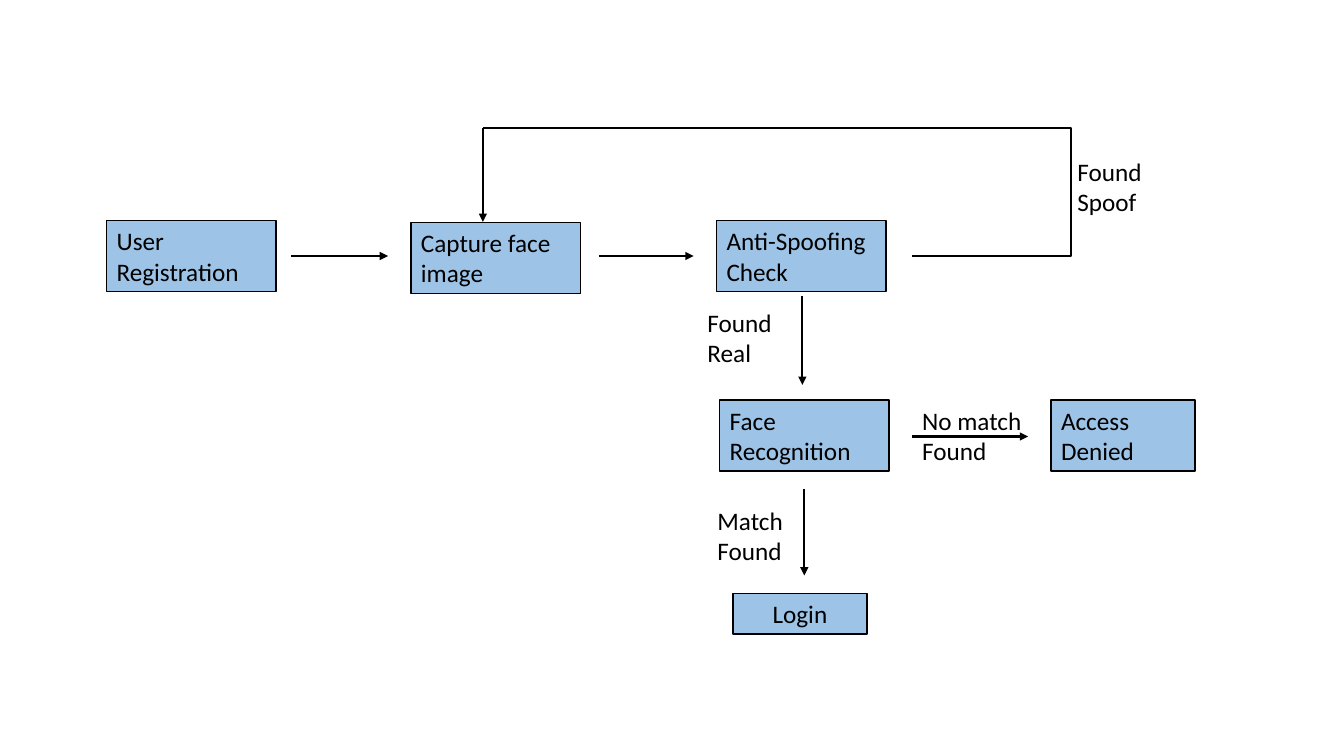
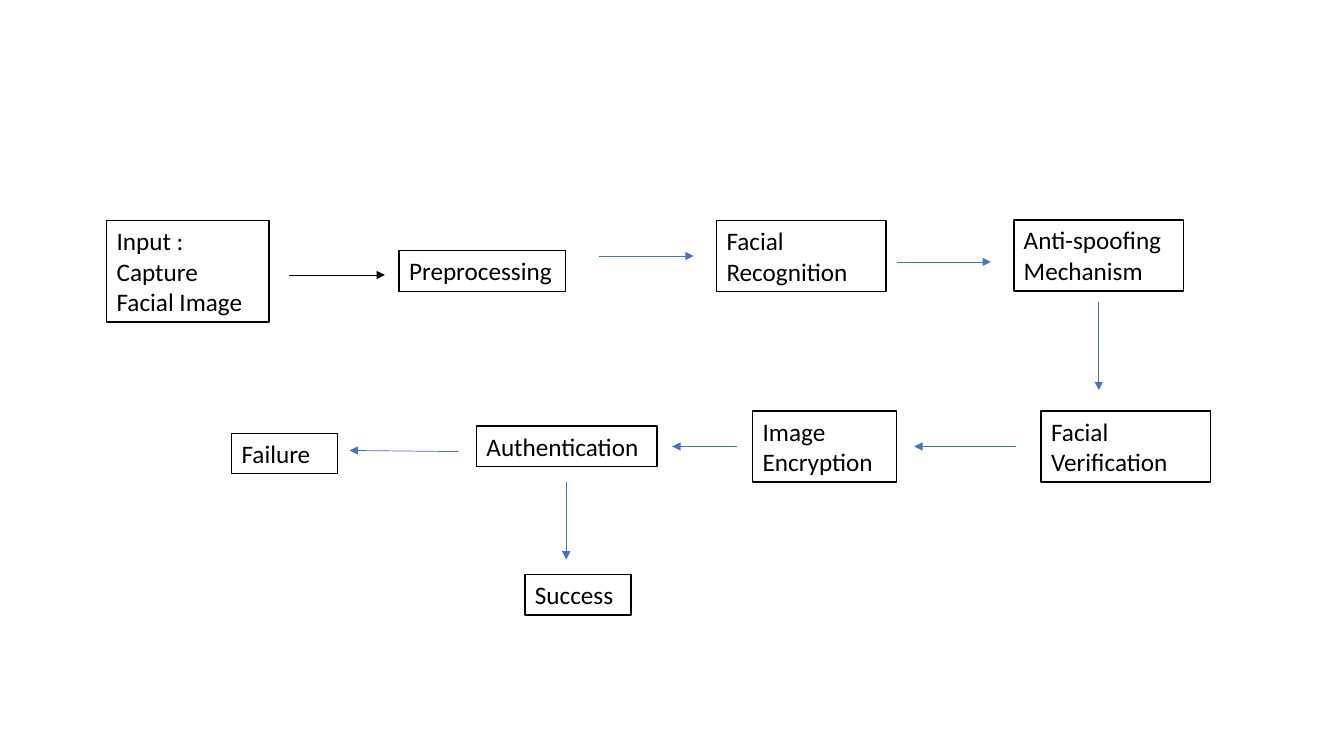
from lxml.etree import SubElement
from pptx import Presentation
from pptx.dml.color import RGBColor
from pptx.enum.shapes import MSO_CONNECTOR as LINK, MSO_SHAPE as SHAPE
from pptx.enum.text import MSO_ANCHOR as ANCHOR, MSO_AUTO_SIZE as FIT, PP_ALIGN as ALIGN
from pptx.oxml.ns import qn
from pptx.util import Cm, Pt

BLACK, WHITE, SKY, BLUE = "000000", "FFFFFF", "9DC3E6", "4472C4"
FONT = "Calibri"
STEP_WIDTH = 4.27
FIRST_LINE, NEXT_LINE = 1.02, 0.77  # height of one text line with insets, and of each further line


def rgb(code):
    return RGBColor.from_string(code)


def height(lines):
    return Cm(FIRST_LINE + NEXT_LINE * (lines - 1))


def write(shape, text, size=18, color=BLACK, align=ALIGN.LEFT):
    """Put formatted, wrapping text into a shape."""
    frame = shape.text_frame
    frame.word_wrap = True
    frame.auto_size = FIT.SHAPE_TO_FIT_TEXT
    frame.vertical_anchor = ANCHOR.TOP
    paragraph = frame.paragraphs[0]
    paragraph.alignment = align
    run = paragraph.add_run()
    run.text = text
    run.font.name, run.font.size = FONT, Pt(size)
    run.font.color.rgb = rgb(color)


class Flowchart:
    """One slide with the fill of its steps and the style of its arrows."""

    def __init__(self, deck, fill, arrow_color, arrow_weight):
        self.slide = deck.slides.add_slide(deck.slide_layouts[6])
        self.fill = fill
        self.arrow_color = arrow_color
        self.arrow_weight = arrow_weight

    def step(self, text, left, top, width=STEP_WIDTH, lines=2, **text_format):
        box = self.slide.shapes.add_shape(
            SHAPE.RECTANGLE, Cm(left), Cm(top), Cm(width), height(lines))
        box.shadow.inherit = False
        box.fill.solid()
        box.fill.fore_color.rgb = rgb(self.fill)
        box.line.color.rgb = rgb(BLACK)
        box.line.width = Pt(1)
        write(box, text, **text_format)

    def label(self, text, left, top, width):
        box = self.slide.shapes.add_textbox(Cm(left), Cm(top), Cm(width), height(2))
        write(box, text)

    def line(self, start, end, kind=LINK.STRAIGHT, color=None):
        link = self.slide.shapes.add_connector(kind, *map(Cm, start + end))
        link.line.color.rgb = rgb(color or self.arrow_color)
        link.line.width = Pt(self.arrow_weight)
        SubElement(link._element.spPr, qn("a:effectLst"))
        return link

    def arrow(self, start, end, color=None):
        link = self.line(start, end, color=color)
        SubElement(link.line._get_or_add_ln(), qn("a:tailEnd"), type="triangle")

    def return_path(self, top_left, bottom_right, bend):
        """Elbow turned by half, leaving from the bottom right."""
        properties = self.line(top_left, bottom_right, LINK.ELBOW)._element.spPr
        properties.find(qn("a:xfrm")).set("rot", "10800000")
        guides = properties.find(qn("a:prstGeom")).find(qn("a:avLst"))
        SubElement(guides, qn("a:gd"), name="adj1", fmla=f"val {round(bend * 100000)}")


def login_flow(deck):
    flow = Flowchart(deck, SKY, BLACK, 1.5)

    # Registration, capture and spoof check
    flow.step("User Registration", 2.69, 5.56)
    flow.step("Capture face image", 10.36, 5.61)
    flow.step("Anti-Spoofing Check", 18.06, 5.56)
    flow.arrow((7.34, 6.45), (9.78, 6.45))
    flow.arrow((15.09, 6.45), (17.48, 6.45))

    # Recognition and its outcomes
    flow.step("Face Recognition", 18.14, 10.08)
    flow.step("Access Denied", 26.49, 10.08, width=3.63)
    flow.step("Login", 18.47, 14.96, width=3.38, lines=1, align=ALIGN.CENTER)
    flow.arrow((20.22, 7.47), (20.22, 9.7))
    flow.arrow((20.27, 12.32), (20.27, 14.5))
    flow.arrow((22.99, 11), (25.91, 11))

    # Spoof: back to capture
    flow.return_path((12.17, 3.23), (22.99, 6.45), bend=-0.37)
    flow.arrow((12.17, 3.23), (12.17, 5.59))

    # Conditions beside the arrows
    flow.label("Found Spoof", 26.9, 3.81, 2.57)
    flow.label("Found Real", 17.58, 7.62, 2.74)
    flow.label("No match Found", 22.99, 10.08, STEP_WIDTH)
    flow.label("Match Found", 17.83, 12.6, 2.82)


def verification_flow(deck):
    flow = Flowchart(deck, WHITE, BLUE, 0.5)

    # Upper row, left to right
    flow.step("Input : Capture Facial Image", 2.69, 5.56, width=4.09, lines=3)
    flow.step("Preprocessing", 10.06, 6.32, width=4.19, lines=1)
    flow.step("Facial Recognition", 18.06, 5.56)
    flow.step("Anti-spoofing Mechanism", 25.55, 5.54)
    flow.arrow((7.29, 6.93), (9.7, 6.93), color=BLACK)
    flow.arrow((15.09, 6.45), (17.48, 6.45))
    flow.arrow((22.61, 6.6), (24.97, 6.6))
    flow.arrow((27.69, 7.62), (27.69, 9.83))

    # Lower row, right to left
    flow.step("Facial Verification", 26.24, 10.36)
    flow.step("Image Encryption", 18.97, 10.36, width=3.63)
    flow.step("Authentication", 12.01, 10.74, width=4.55, lines=1)
    flow.arrow((25.6, 11.25), (23.04, 11.25))
    flow.arrow((18.57, 11.25), (16.94, 11.25))

    # Outcomes
    flow.step("Failure", 5.84, 10.92, width=2.67, lines=1)
    flow.step("Success", 13.23, 14.48, width=2.67, lines=1)
    flow.arrow((11.56, 11.38), (8.81, 11.35))
    flow.arrow((14.27, 12.14), (14.27, 14.1))


def main():
    deck = Presentation()
    deck.slide_width, deck.slide_height = Cm(33.87), Cm(19.05)
    login_flow(deck)
    verification_flow(deck)
    deck.save("out.pptx")


if __name__ == "__main__":
    main()
